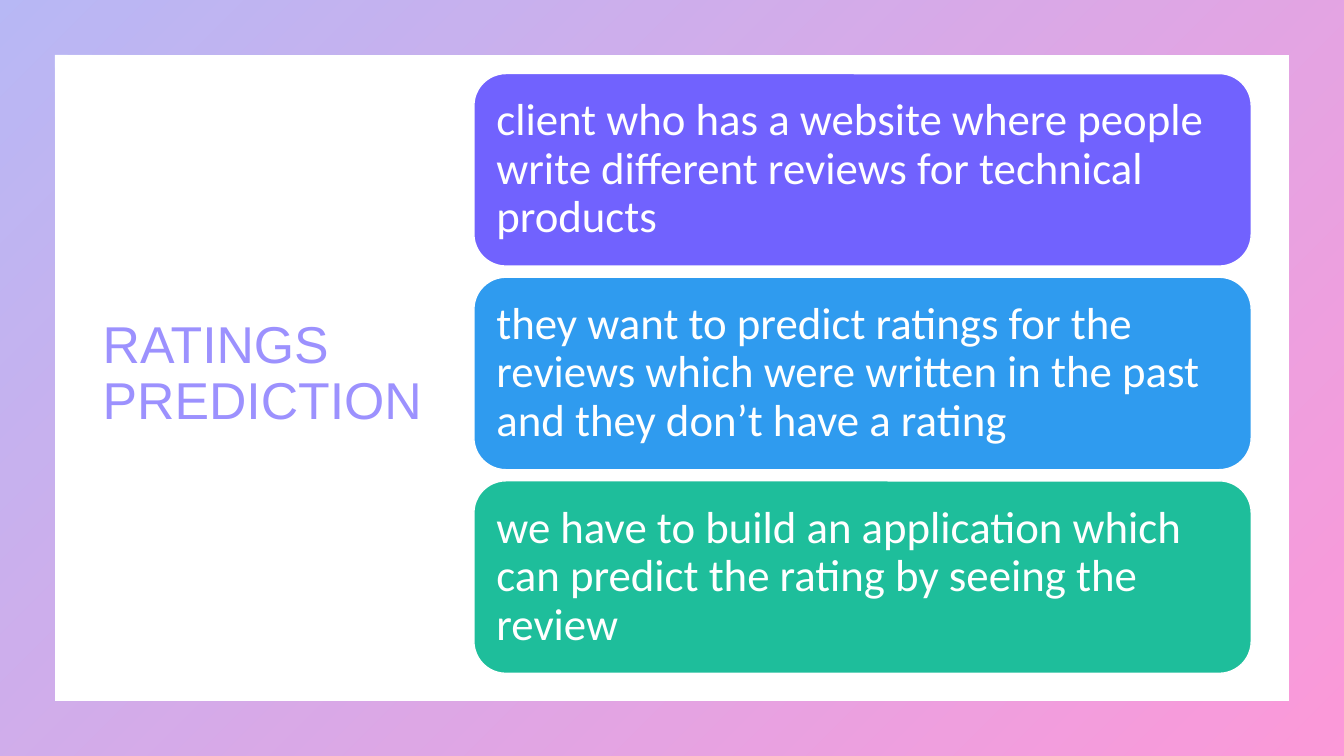
from pptx import Presentation
from pptx.dml.color import RGBColor
from pptx.enum.shapes import MSO_SHAPE as Preset
from pptx.enum.text import MSO_ANCHOR as Anchor, PP_ALIGN as Align
from pptx.oxml.ns import qn
from pptx.util import Inches, Pt
from lxml.etree import SubElement

PAGE_WIDTH, PAGE_HEIGHT = 13.33, 7.5
CARD_LEFT, CARD_TOP, CARD_WIDTH, CARD_HEIGHT = 4.7, 0.73, 7.71, 1.91
CARD_GAP = 0.11
CARDS = [
    ("7162FE", "client who has a website where people write different reviews "
               "for technical products"),
    ("2F9BEF", "they want to predict ratings for the reviews which were written "
               "in the past and they don’t have a rating"),
    ("1EBE9B", "we have to build an application which can predict the rating "
               "by seeing the review"),
]


def color(value):
    return RGBColor.from_string(value)


class SlideBuilder:
    """Holds the style and the current slide."""
    white = "FFFFFF"
    title_color = "9C91FE"
    title_font, body_font = "Arial", "Calibri"
    title_size, body_size = 37, 32
    line_spacing = 0.9
    inset = 0.13
    frame_thickness = 0.072
    frame_colors = ("4D4EE6", "F900A0")
    frame_opacity = 40

    def __init__(self, page):
        self.page = page

    def shape(self, preset, left, top, width, height):
        shape = self.page.shapes.add_shape(
            preset, Inches(left), Inches(top), Inches(width), Inches(height))
        shape.shadow.inherit = False
        shape.line.fill.background()
        return shape

    def panel(self):
        panel = self.shape(Preset.RECTANGLE, 0, 0, PAGE_WIDTH, PAGE_HEIGHT)
        panel.fill.solid()
        panel.fill.fore_color.rgb = color(self.white)

    def frame(self):
        """Add the translucent gradient border around the page."""
        frame = self.shape(Preset.FRAME, 0, 0, PAGE_WIDTH, PAGE_HEIGHT)
        frame.adjustments[0] = self.frame_thickness
        frame.fill.gradient()
        frame.fill.gradient_angle = 315  # counter-clockwise: towards bottom right
        for stop, value in zip(frame.fill.gradient_stops, self.frame_colors):
            stop.color.rgb = color(value)
        for tint in frame.element.spPr.iter(qn("a:srgbClr")):
            SubElement(tint, qn("a:alpha"), val=str(self.frame_opacity * 1000))

    def set_text(self, shape, text, font, size, value):
        text_frame = shape.text_frame
        text_frame.text = text
        text_frame.word_wrap = True
        text_frame.vertical_anchor = Anchor.MIDDLE
        para = text_frame.paragraphs[0]
        para.alignment = Align.LEFT
        para.line_spacing = self.line_spacing
        for span in para.runs:
            span.font.name = font
            span.font.size = Pt(size)
            span.font.color.rgb = color(value)

    def title(self, text):
        box = self.page.shapes.add_textbox(
            Inches(0.92), Inches(0.67), Inches(3.5), Inches(6.09))
        self.set_text(box, text, self.title_font, self.title_size, self.title_color)

    def card(self, top, fill, text):
        card = self.shape(Preset.ROUNDED_RECTANGLE,
                          CARD_LEFT, top, CARD_WIDTH, CARD_HEIGHT)
        card.fill.solid()
        card.fill.fore_color.rgb = color(fill)
        card.line.color.rgb = color(self.white)
        card.line.width = Pt(1)
        text_frame = card.text_frame
        text_frame.margin_left = text_frame.margin_right = Inches(self.inset)
        text_frame.margin_top = text_frame.margin_bottom = Inches(self.inset)
        self.set_text(card, text, self.body_font, self.body_size, self.white)


def main():
    deck = Presentation()
    deck.slide_width, deck.slide_height = Inches(PAGE_WIDTH), Inches(PAGE_HEIGHT)
    builder = SlideBuilder(deck.slides.add_slide(deck.slide_layouts[6]))
    builder.panel()
    builder.frame()
    builder.title("RATINGS PREDICTION")
    for index, (fill, text) in enumerate(CARDS):
        builder.card(CARD_TOP + index * (CARD_HEIGHT + CARD_GAP), fill, text)
    deck.save("out.pptx")


if __name__ == "__main__":
    main()
